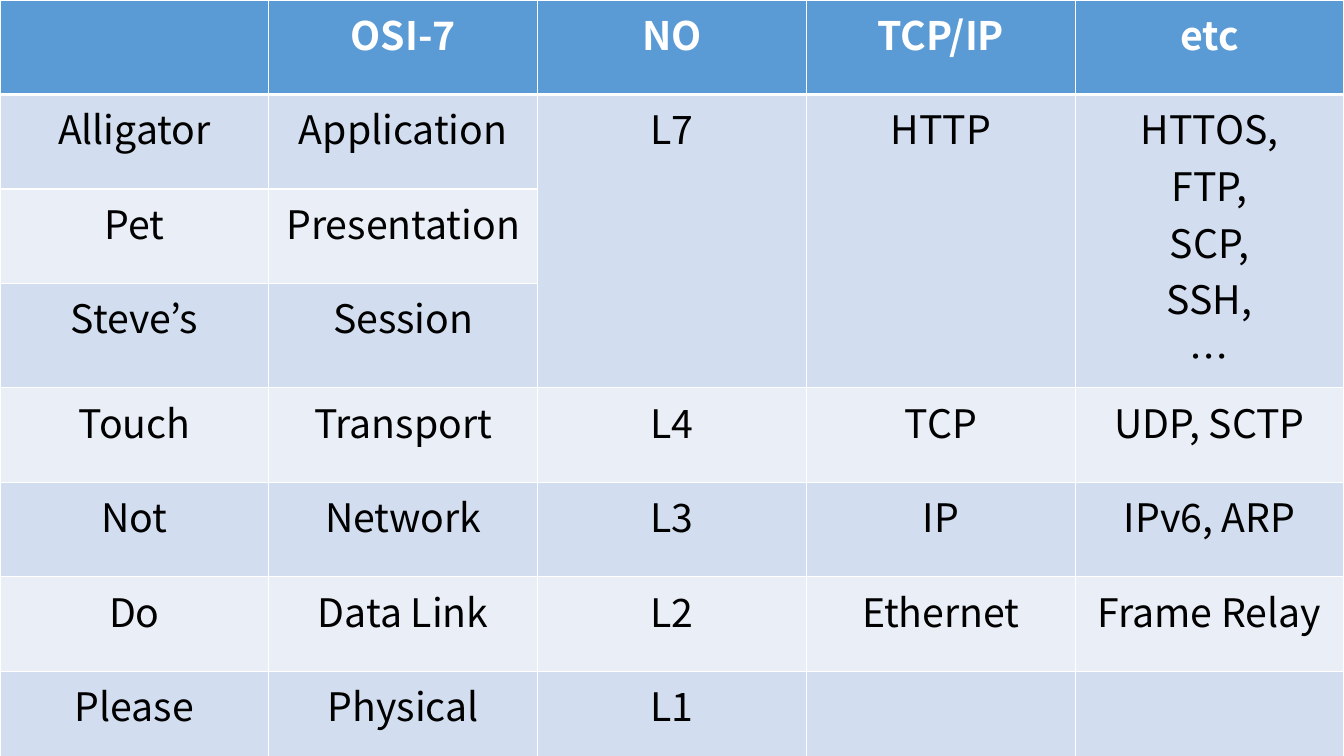
from lxml.etree import SubElement
from pptx import Presentation
from pptx.dml.color import RGBColor
from pptx.enum.text import PP_ALIGN as Align
from pptx.oxml.ns import qn
from pptx.util import Inches, Pt


def paint(color_format, color):
    color_format.rgb = RGBColor.from_string(color)


def add_border(cell, side, width):
    line = SubElement(cell._tc.get_or_add_tcPr(), qn(f"a:ln{side}"), w=str(Pt(width)))
    fill = SubElement(line, qn("a:solidFill"))
    SubElement(fill, qn("a:srgbClr"), val="FFFFFF")


layers = [
    ["", "OSI-7", "NO", "TCP/IP", "etc"],
    ["Alligator", "Application", "L7", "HTTP", "HTTOS,\nFTP,\nSCP,\nSSH,\n…"],
    ["Pet", "Presentation", "", "", ""],
    ["Steve’s", "Session", "", "", ""],
    ["Touch", "Transport", "L4", "TCP", "UDP, SCTP"],
    ["Not", "Network", "L3", "IP", "IPv6, ARP"],
    ["Do", "Data Link", "L2", "Ethernet", "Frame Relay"],
    ["Please", "Physical", "L1", "", ""],
]

deck = Presentation()
deck.slide_width = Inches(13.33)
deck.slide_height = Inches(7.5)
page = deck.slides.add_slide(deck.slide_layouts[6])

table = page.shapes.add_table(
    len(layers), len(layers[0]), 0, 0, deck.slide_width, deck.slide_height
).table

for row, labels in enumerate(layers):
    is_header = row == 0
    band = "5B9BD5" if is_header else "D2DEEF" if row % 2 else "EAEFF7"
    for column, label in enumerate(labels):
        cell = table.cell(row, column)
        for side in "LRTB":
            thick = (is_header and side == "B") or (row == 1 and side == "T")
            add_border(cell, side, 3 if thick else 1)
        cell.fill.solid()
        paint(cell.fill.fore_color, band)
        if label:
            cell.text = label
        for para in cell.text_frame.paragraphs:
            para.alignment = Align.CENTER
            para.font.name = "Noto Sans CJK KR"
            para.font.size = Pt(28)
            para.font.bold = is_header
            paint(para.font.color, "FFFFFF" if is_header else "000000")

for column in range(2, 5):
    table.cell(1, column).merge(table.cell(3, column))

deck.save("out.pptx")
